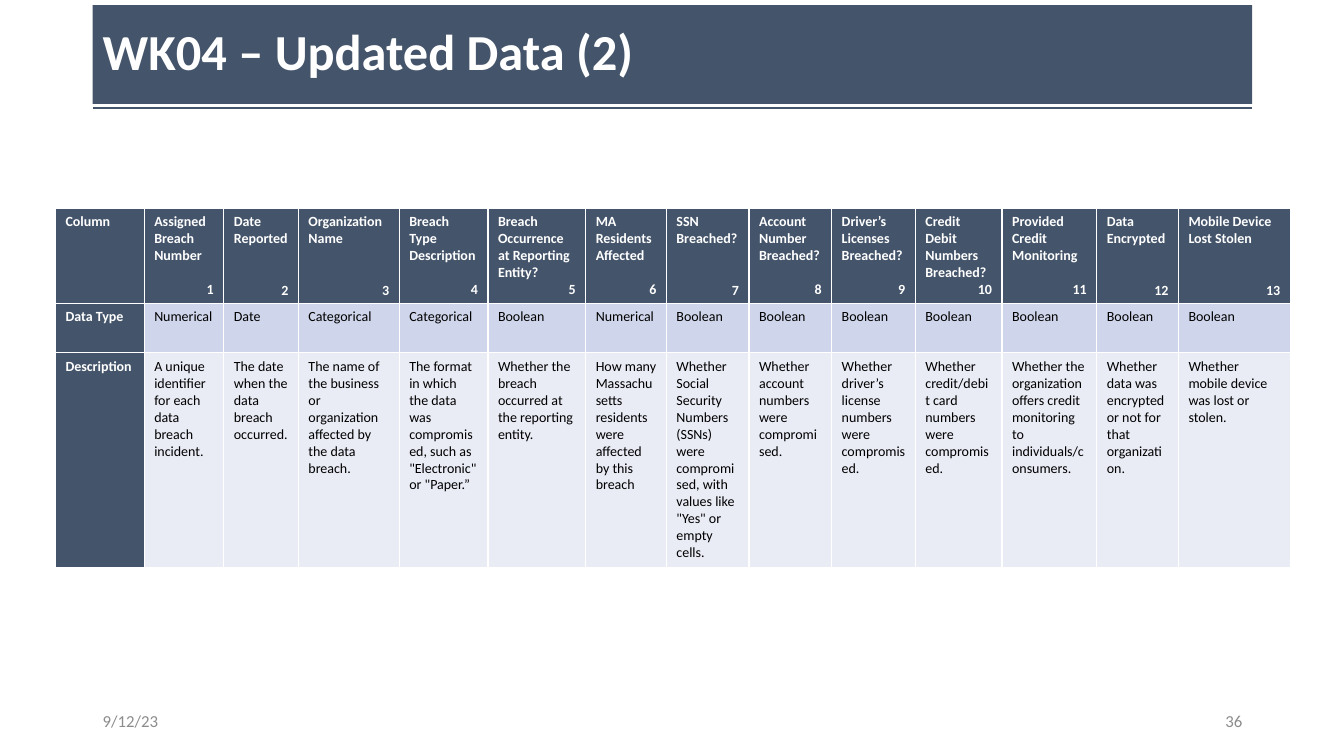
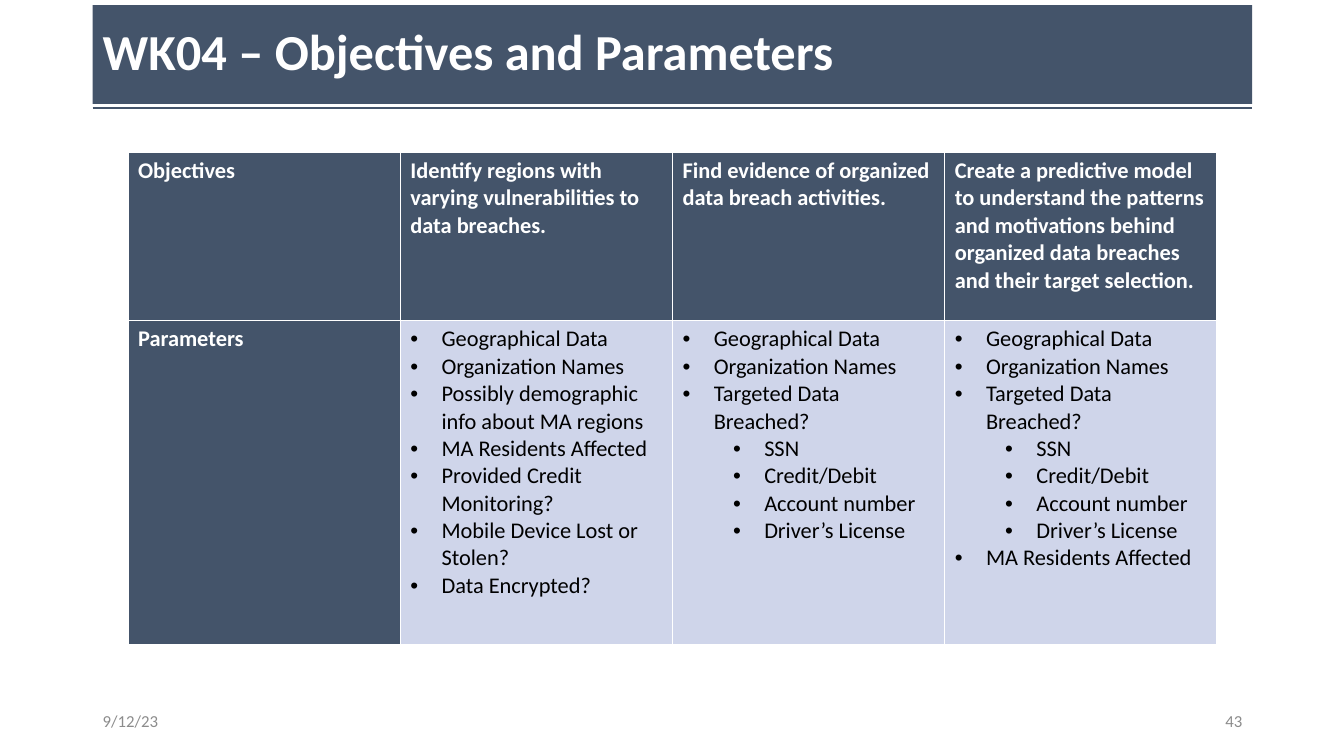
from dataclasses import dataclass
from typing import Any, Optional

import lxml.etree
import pptx
import pptx.dml.color
import pptx.enum.shapes
import pptx.enum.text
import pptx.oxml.ns
import pptx.util

Inches = pptx.util.Inches
Pt = pptx.util.Pt
qn = pptx.oxml.ns.qn
ALIGN = pptx.enum.text.PP_ALIGN
MIDDLE = pptx.enum.text.MSO_ANCHOR.MIDDLE

FONT = "Calibri"
SLATE, BAND, PALE = "44546A", "CFD5EA", "E9EBF5"
WHITE, BLACK, GREY = "FFFFFF", "000000", "8C8C8C"
LEFT, CONTENT_WIDTH = 0.92, 11.5
FOOTER_TOP, FOOTER_WIDTH, FOOTER_HEIGHT = 6.95, 3, 0.4
DATE = "9/12/23"
LINE_FACTOR = 1.22  # line height of the font relative to its size
BULLET_INDENT, LEVEL_STEP = 0.31, 0.5


@dataclass
class Field:
    """A column of the data table; gap is the number of lines above its number."""
    name: str
    width: float
    gap: int
    data_type: str
    description: str


@dataclass
class Para:
    text: str
    align: Optional[Any] = None
    before: float = 0
    level: Optional[int] = None  # bullet level, None for plain text


@dataclass
class Cell:
    paras: list[Para]
    fill: str

    @property
    def is_heading(self) -> bool:
        return self.fill == SLATE


FIELDS = [
    Field("Assigned Breach Number", 0.79, 1, "Numerical",
          "A unique identifier for each data breach incident."),
    Field("Date Reported", 0.74, 2, "Date",
          "The date when the data breach occurred."),
    Field("Organization Name", 1, 2, "Categorical",
          "The name of the business or organization affected by the data breach."),
    Field("Breach Type Description", 0.88, 1, "Categorical",
          "The format in which the data was compromised, such as \"Electronic\" or \"Paper.”"),
    Field("Breach Occurrence at Reporting Entity?", 0.97, 0, "Boolean",
          "Whether the breach occurred at the reporting entity."),
    Field("MA Residents Affected", 0.8, 1, "Numerical",
          "How many Massachusetts residents were affected by this breach"),
    Field("SSN Breached?", 0.82, 2, "Boolean",
          "Whether Social Security Numbers (SSNs) were compromised, "
          "with values like \"Yes\" or empty cells."),
    Field("Account Number Breached?", 0.82, 1, "Boolean",
          "Whether account numbers were compromised."),
    Field("Driver’s Licenses Breached?", 0.83, 1, "Boolean",
          "Whether driver’s license numbers were compromised."),
    Field("Credit Debit Numbers Breached?", 0.86, 0, "Boolean",
          "Whether credit/debit card numbers were compromised."),
    Field("Provided Credit Monitoring", 0.94, 1, "Boolean",
          "Whether the organization offers credit monitoring to individuals/consumers."),
    Field("Data Encrypted", 0.81, 2, "Boolean",
          "Whether data was encrypted or not for that organization."),
    Field("Mobile Device Lost Stolen", 1.11, 2, "Boolean",
          "Whether mobile device was lost or stolen."),
]

COMMON = [(0, "Geographical Data"), (0, "Organization Names")]
TARGETED = COMMON + [
    (0, "Targeted Data Breached?"),
    (1, "SSN"),
    (1, "Credit/Debit"),
    (1, "Account number"),
    (1, "Driver’s License"),
]
RESIDENTS = (0, "MA Residents Affected")
OBJECTIVES = {
    "Identify regions with varying vulnerabilities to data breaches.": COMMON + [
        (0, "Possibly demographic info about MA regions"),
        RESIDENTS,
        (0, "Provided Credit Monitoring?"),
        (0, "Mobile Device Lost or Stolen?"),
        (0, "Data Encrypted?"),
    ],
    "Find evidence of organized data breach activities.": TARGETED,
    "Create a predictive model to understand the patterns and motivations behind "
    "organized data breaches and their target selection.": TARGETED + [RESIDENTS],
}


def rgb(color: str) -> pptx.dml.color.RGBColor:
    return pptx.dml.color.RGBColor.from_string(color)


def write(p, text: str, *, size: float, color: str, bold: bool = False,
          align=None, before: float = 0, spacing: Optional[float] = None) -> None:
    r = p.add_run()
    r.text = text
    r.font.name, r.font.size, r.font.bold = FONT, Pt(size), bold
    r.font.color.rgb = rgb(color)
    p.alignment = align or ALIGN.LEFT
    p.line_spacing = spacing
    if before:
        p.space_before = Pt(before)


def add_bullet(p, level: int) -> None:
    p.level = level
    pPr = p._p.get_or_add_pPr()
    pPr.set("marL", str(Inches(BULLET_INDENT + level * LEVEL_STEP)))
    pPr.set("indent", str(-Inches(BULLET_INDENT)))
    lxml.etree.SubElement(pPr, qn("a:buFont")).set("typeface", "Arial")
    lxml.etree.SubElement(pPr, qn("a:buChar")).set("char", "•")


def add_borders(cell, color: str = WHITE, width: float = 1) -> None:
    tcPr = cell._tc.get_or_add_tcPr()
    for side in "LRTB":
        ln = lxml.etree.SubElement(tcPr, qn(f"a:ln{side}"))
        ln.set("w", str(Pt(width)))
        fill = lxml.etree.SubElement(ln, qn("a:solidFill"))
        lxml.etree.SubElement(fill, qn("a:srgbClr")).set("val", color)


def add_footer(s, text: str, left: float, align) -> None:
    box = s.shapes.add_textbox(Inches(left), Inches(FOOTER_TOP),
                               Inches(FOOTER_WIDTH), Inches(FOOTER_HEIGHT))
    tf = box.text_frame
    tf.word_wrap, tf.vertical_anchor = True, MIDDLE
    write(tf.paragraphs[0], text, size=12, color=GREY, align=align)


def add_slide(prs, title: str, number: int):
    """Add a slide with the title band, its rule, the date and the number."""
    s = prs.slides.add_slide(prs.slide_layouts[6])
    right = LEFT + CONTENT_WIDTH
    rule = s.shapes.add_connector(pptx.enum.shapes.MSO_CONNECTOR.STRAIGHT,
                                  Inches(LEFT), Inches(1.07), Inches(right), Inches(1.07))
    rule.line.color.rgb, rule.line.width = rgb(SLATE), Pt(1.5)
    lxml.etree.SubElement(rule._element.spPr, qn("a:effectLst"))

    band = s.shapes.add_shape(pptx.enum.shapes.MSO_SHAPE.RECTANGLE, Inches(LEFT),
                              Inches(0.05), Inches(CONTENT_WIDTH), Inches(0.98))
    band.shadow.inherit = False
    band.fill.solid()
    band.fill.fore_color.rgb = rgb(SLATE)
    band.line.fill.background()
    tf = band.text_frame
    tf.word_wrap, tf.vertical_anchor = True, MIDDLE
    write(tf.paragraphs[0], title, size=36, color=WHITE, bold=True, spacing=0.9)

    add_footer(s, DATE, LEFT, ALIGN.LEFT)
    add_footer(s, str(number), right - FOOTER_WIDTH, ALIGN.RIGHT)
    return s


def fill_cell(cell, content: Cell, size: float) -> None:
    add_borders(cell)
    cell.fill.solid()
    cell.fill.fore_color.rgb = rgb(content.fill)
    tf = cell.text_frame
    for i, para in enumerate(content.paras):
        p = tf.add_paragraph() if i else tf.paragraphs[0]
        write(p, para.text, size=size, bold=content.is_heading,
              color=WHITE if content.is_heading else BLACK,
              align=para.align, before=para.before)
        if para.level is not None:
            add_bullet(p, para.level)


def add_table(s, left: float, top: float, widths: list[float], heights: list[float],
              rows: list[list[Cell]], size: float) -> None:
    table = s.shapes.add_table(len(heights), len(widths), Inches(left), Inches(top),
                               Inches(sum(widths)), Inches(sum(heights))).table
    for column, width in zip(table.columns, widths):
        column.width = Inches(width)
    for row, height, contents in zip(table.rows, heights, rows):
        row.height = Inches(height)
        for cell, content in zip(row.cells, contents):
            fill_cell(cell, content, size)


def text_cell(text: str, fill: str = SLATE) -> Cell:
    return Cell([Para(text)], fill)


def add_data_slide(prs) -> None:
    size = 10
    s = add_slide(prs, "WK04 – Updated Data (2)", 36)
    header = [
        Cell([Para(f.name),
              Para(str(n), ALIGN.RIGHT, before=f.gap * size * LINE_FACTOR)], SLATE)
        for n, f in enumerate(FIELDS, 1)
    ]
    rows = [
        [text_cell("Column")] + header,
        [text_cell("Data Type")] + [text_cell(f.data_type, BAND) for f in FIELDS],
        [text_cell("Description")] + [text_cell(f.description, PALE) for f in FIELDS],
    ]
    add_table(s, 0.55, 2.07, [0.88] + [f.width for f in FIELDS],
              [0.94, 0.49, 2.13], rows, size)


def add_objectives_slide(prs) -> None:
    s = add_slide(prs, "WK04 – Objectives and Parameters", 43)
    rows = [
        [text_cell("Objectives")] + [text_cell(objective) for objective in OBJECTIVES],
        [text_cell("Parameters")] + [
            Cell([Para(text, level=level) for level, text in parameters], BAND)
            for parameters in OBJECTIVES.values()
        ],
    ]
    add_table(s, 1.27, 1.51, [2.7] * 4, [1.67, 3.22], rows, 16)


def main() -> None:
    prs = pptx.Presentation()
    prs.slide_width, prs.slide_height = Inches(13.33), Inches(7.5)
    add_data_slide(prs)
    add_objectives_slide(prs)
    prs.save("out.pptx")


if __name__ == "__main__":
    main()
